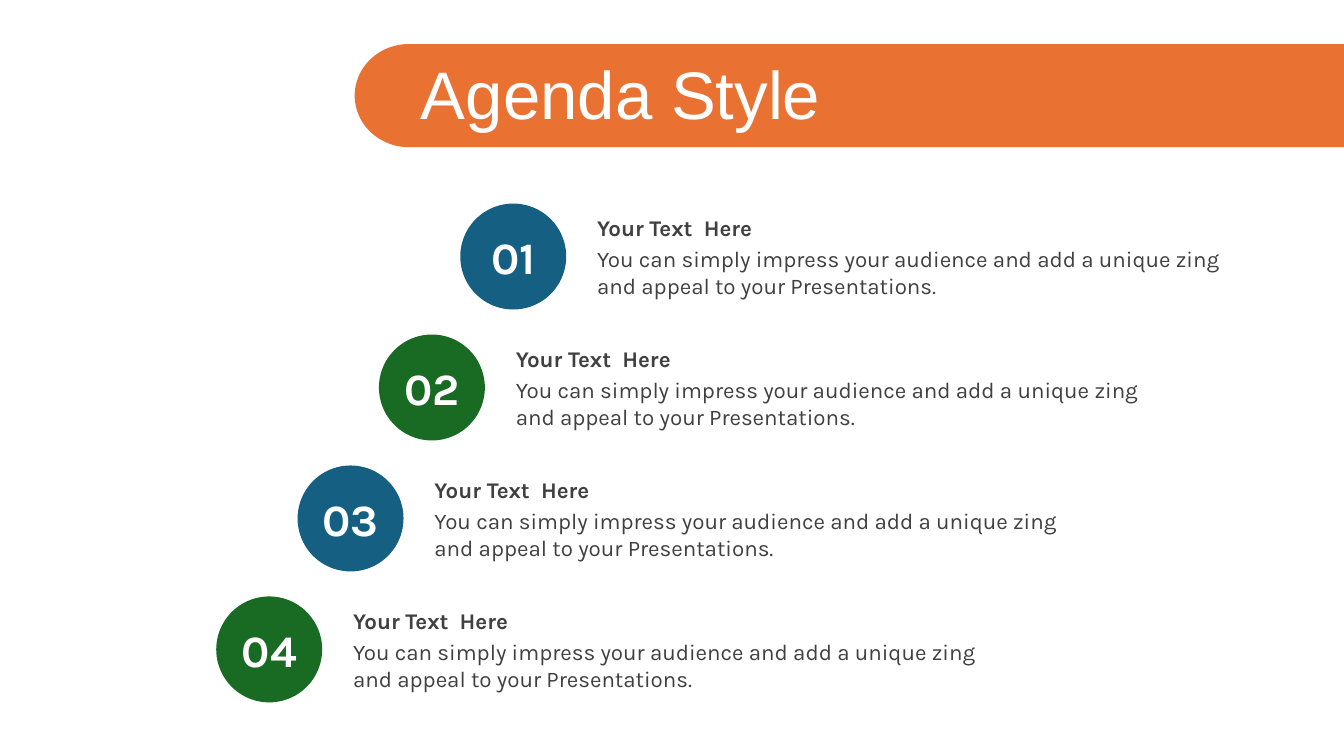
from math import cos, pi, sin

from pptx import Presentation
from pptx.dml.color import RGBColor
from pptx.enum.shapes import MSO_SHAPE
from pptx.enum.text import MSO_ANCHOR, PP_ALIGN
from pptx.util import Cm, Pt

OVAL = MSO_SHAPE.OVAL
MIDDLE = MSO_ANCHOR.MIDDLE
LEFT, CENTER = PP_ALIGN.LEFT, PP_ALIGN.CENTER

TITLE = "Agenda Style"
HEAD = "Your Text  Here"
BODY = ("You can simply impress your audience and add a unique zing "
        "and appeal to your Presentations.")
ITEMS = [
    ("01", HEAD, BODY),
    ("02", HEAD, BODY),
    ("03", HEAD, BODY),
    ("04", HEAD, BODY),
]
FILLS = ["156082", "196B24"]
ORANGE, WHITE, GRAY = "E97132", "FFFFFF", "404040"

TITLE_FONT = {"name": "Arial", "size": Pt(48)}
HEAD_FONT = {"name": "Karla", "size": Pt(16), "bold": True}
BODY_FONT = {"name": "Karla", "size": Pt(16)}
NUM_FONT = {"name": "Karla", "size": Pt(32), "bold": True}

# All lengths in cm
WIDE, HIGH = 33.87, 19.05
BAR_X, BAR_Y, BAR_H, BAR_R = 8.94, 1.11, 2.6, 1.37
DISC_X, DISC_Y, DISC = 11.6, 5.13, 2.67
STEP_X, STEP_Y = -2.05, 3.3
TEXT_DX, TEXT_W = 3.2, 17.07
LINE_H, PAIR_H = 0.94, 1.63


def rgb(code):
    return RGBColor.from_string(code)


def paint(shape, code):
    """Give a shape a plain fill with no line or shadow."""
    shape.fill.solid()
    shape.fill.fore_color.rgb = rgb(code)
    shape.line.fill.background()
    shape.shadow.inherit = False


def write(shapes, text, x, y, w, h, font, code, align=LEFT):
    """Add a wrapped, vertically centred text box."""
    frame = shapes.add_textbox(Cm(x), Cm(y), Cm(w), Cm(h)).text_frame
    frame.word_wrap = True
    frame.vertical_anchor = MIDDLE
    par = frame.paragraphs[0]
    par.alignment = align
    run = par.add_run()
    run.text = text
    for key, value in font.items():
        setattr(run.font, key, value)
    run.font.color.rgb = rgb(code)


def draw_bar(shapes):
    """Draw the title bar: round on the left, open to the slide edge."""
    steps = 60
    mid = BAR_Y + BAR_H / 2
    angles = [pi * i / steps for i in range(steps + 1)]
    curve = [(Cm(BAR_X + BAR_R * (1 - sin(a))), Cm(mid + BAR_H / 2 * cos(a)))
             for a in angles]
    pen = shapes.build_freeform(Cm(WIDE), Cm(BAR_Y))
    pen.add_line_segments([(Cm(WIDE), Cm(BAR_Y + BAR_H))] + curve, close=True)
    paint(pen.convert_to_shape(), ORANGE)


def draw_item(shapes, row, num, head, body):
    x, y = DISC_X + row * STEP_X, DISC_Y + row * STEP_Y
    disc = shapes.add_shape(OVAL, Cm(x), Cm(y), Cm(DISC), Cm(DISC))
    paint(disc, FILLS[row % len(FILLS)])
    write(shapes, num, x, y + (DISC - PAIR_H) / 2, DISC, PAIR_H,
          NUM_FONT, WHITE, CENTER)
    pair = shapes.add_group_shape().shapes
    left = x + TEXT_DX
    write(pair, body, left, y + 0.92, TEXT_W, PAIR_H, BODY_FONT, GRAY)
    write(pair, head, left, y + 0.13, TEXT_W, LINE_H, HEAD_FONT, GRAY)


def main():
    deck = Presentation()
    deck.slide_width, deck.slide_height = Cm(WIDE), Cm(HIGH)
    shapes = deck.slides.add_slide(deck.slide_layouts[6]).shapes
    draw_bar(shapes)
    write(shapes, TITLE, 10.36, 1.27, 23.5, 2.13, TITLE_FONT, WHITE)
    for row, item in enumerate(ITEMS):
        draw_item(shapes, row, *item)
    deck.save("out.pptx")


if __name__ == "__main__":
    main()
